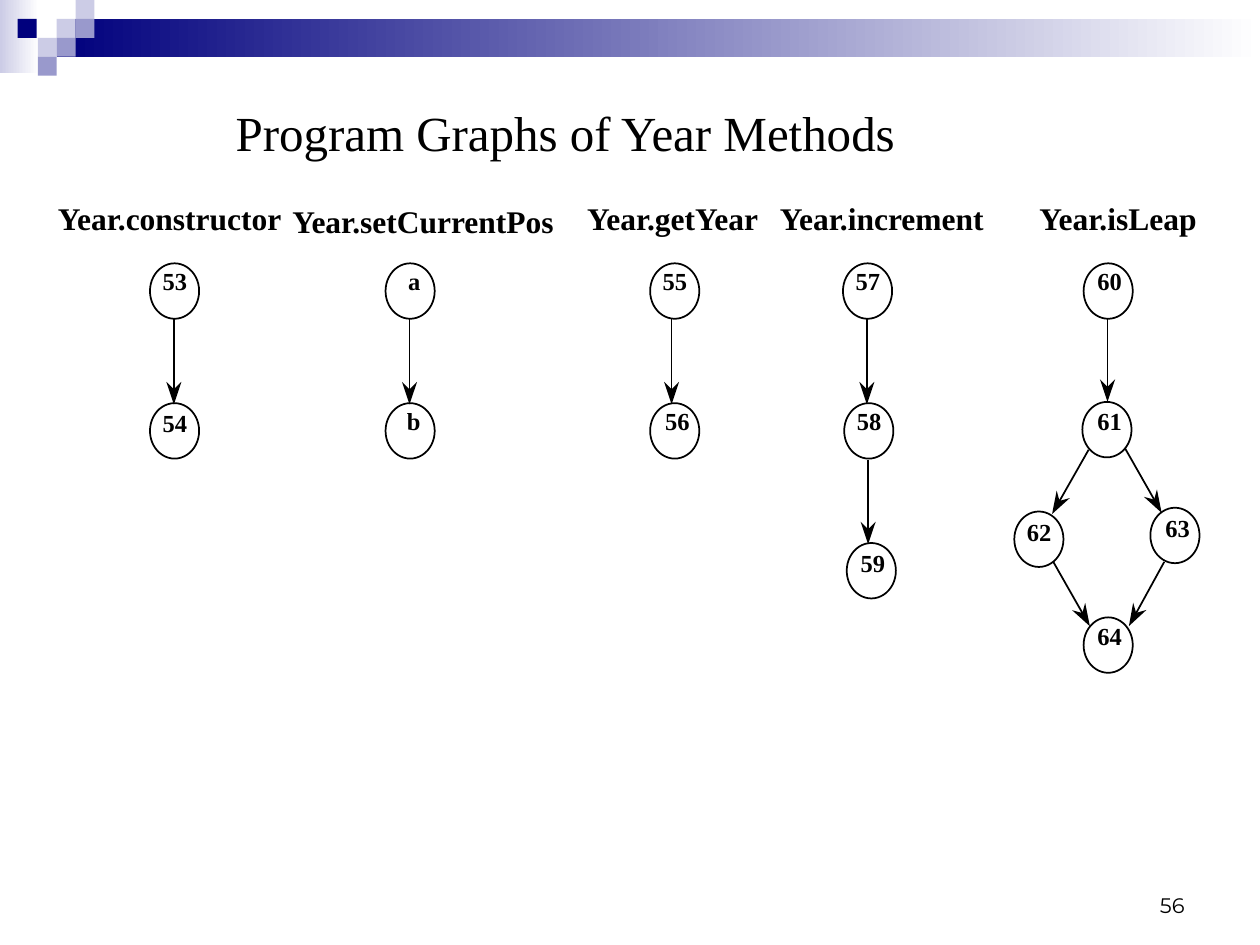
"""Build the slide of program graphs for the Year methods on a grid of 100 by 75 cells."""
import math

import pptx
import pptx.dml.color
import pptx.enum.shapes
import pptx.enum.text
import pptx.oxml
import pptx.util

CELL = 0.1
COLUMNS, ROWS = 100, 75
SERIF, SANS = "Times New Roman", "Montserrat"
COLORS = {"ink": "000000", "navy": "00007D", "violet": "9999CC", "lilac": "CCCCE6", "white": "FFFFFF"}
SHAPES = pptx.enum.shapes.MSO_SHAPE
ALIGN = pptx.enum.text.PP_ALIGN
ANCHOR = pptx.enum.text.MSO_ANCHOR
AUTO_SIZE = pptx.enum.text.MSO_AUTO_SIZE

BARS = [("lilac", 0, 0, 3.1, 5.8), ("navy", 4.5, 1.5, 95.5, 3)]
TILE = 1.5
TILES = [
    ("lilac", 4.5, 1.5), ("lilac", 6, 0), ("violet", 6, 1.5), ("lilac", 3, 3),
    ("navy", 1.4, 1.5), ("violet", 4.5, 3), ("violet", 3, 4.5),
]
HEADINGS = [
    ("Year.constructor", 4.6, 15.8, 18.3), ("Year.setCurrentPos", 23.2, 16, 21.3),
    ("Year.getYear", 46.6, 15.8, 14.4), ("Year.increment", 61.9, 15.8, 16.7),
    ("Year.isLeap", 82.5, 15.8, 13),
]
NODES = [
    ("53", 11.9, 20.9, 1, 0.2), ("54", 11.9, 32, 1, 0.4),
    ("a", 30.6, 20.9, 1.8, 0.2), ("b", 30.6, 32, 1.7, 0.2),
    ("55", 51.6, 20.9, 1, 0.2), ("56", 51.6, 32, 1.2, 0.2),
    ("57", 66.9, 20.9, 1, 0.2), ("58", 67, 32, 1, 0.2), ("59", 67.2, 43.1, 1.1, 0.4),
    ("60", 86, 20.9, 1.1, 0.2), ("61", 85.9, 31.9, 1.2, 0.3),
    ("62", 80.5, 40.6, 1, 0.4), ("63", 91.3, 40.3, 1.2, 0.4), ("64", 86, 49, 1.1, 0.3),
]
ARROWS = [
    (13.8, 25.3, 13.8, 32.1), (32.5, 25.3, 32.5, 32.1), (53.3, 25.3, 53.3, 32.1),
    (68.8, 25.3, 68.8, 32.1), (68.9, 36.5, 68.9, 43.2), (87.9, 25.3, 87.9, 31.9),
    (86.4, 35.7, 83.5, 40.8), (89.3, 35.6, 92.2, 40.7),
    (92.4, 44.6, 89.6, 49.7), (83.6, 44.6, 86.5, 49.7),
]


def grid(*cells):
    return [pptx.util.Inches(cell * CELL) for cell in cells]


def color(name):
    return pptx.dml.color.RGBColor.from_string(COLORS[name])


def add_block(page, fill, column, row, width, height, fades=False):
    block = page.shapes.add_shape(SHAPES.RECTANGLE, *grid(column, row, width, height))
    block.shadow.inherit = False
    block.line.fill.background()
    if fades:
        block.fill.gradient()
        block.fill.gradient_angle = 0
        for stop, name in zip(block.fill.gradient_stops, (fill, "white")):
            stop.color.rgb = color(name)
    else:
        block.fill.solid()
        block.fill.fore_color.rgb = color(fill)


def write(frame, text, size, font=SERIF, bold=False, align=ALIGN.LEFT):
    para = frame.paragraphs[0]
    para.alignment = align
    span = para.add_run()
    span.text = text
    span.font.name = font
    span.font.size = pptx.util.Pt(size)
    span.font.bold = bold
    span.font.color.rgb = color("ink")


def clear_margins(frame):
    frame.margin_left = frame.margin_top = frame.margin_right = frame.margin_bottom = 0


def add_title(page, text):
    title = page.shapes.title
    title.left, title.top, title.width, title.height = grid(18.7, 8.1, 61.7, 4.7)
    frame = title.text_frame
    clear_margins(frame)
    frame.word_wrap = True
    frame.auto_size = AUTO_SIZE.NONE
    frame.vertical_anchor = ANCHOR.TOP
    write(frame, text, 28)


def add_label(page, text, size, column, row, width, height):
    box = page.shapes.add_textbox(*grid(column, row, width, height))
    frame = box.text_frame
    clear_margins(frame)
    frame.word_wrap = False
    frame.auto_size = AUTO_SIZE.SHAPE_TO_FIT_TEXT
    write(frame, text, size, bold=True)


def add_node(page, text, column, row, indent, drop):
    add_label(page, text, 14, column + indent, row + drop, len(text), 2.3)
    node = page.shapes.add_shape(SHAPES.OVAL, *grid(column, row, 3.9, 4.4))
    node.shadow.inherit = False
    node.fill.background()
    node.line.color.rgb = color("ink")
    node.line.width = pptx.util.Pt(1)


def add_arrow(page, start_column, start_row, tip_column, tip_row):
    angle = math.atan2(tip_row - start_row, tip_column - start_column)
    along, across = math.cos(angle), math.sin(angle)

    def behind_tip(back, side):
        return grid(tip_column - back * along - side * across, tip_row - back * across + side * along)

    notch = behind_tip(1.2, 0)
    line = page.shapes.add_connector(
        pptx.enum.shapes.MSO_CONNECTOR.STRAIGHT, *grid(start_column, start_row), *notch)
    line.line.color.rgb = color("ink")
    line.line.width = pptx.util.Pt(1)
    properties = line._element.spPr
    properties.append(properties.makeelement(pptx.oxml.ns.qn("a:effectLst"), {}))

    outline = page.shapes.build_freeform(*grid(tip_column, tip_row), scale=1.0)
    outline.add_line_segments([behind_tip(1.8, 0.6), notch, behind_tip(1.8, -0.6)], close=True)
    head = outline.convert_to_shape()
    head.shadow.inherit = False
    head.fill.solid()
    head.fill.fore_color.rgb = color("ink")
    head.line.fill.background()


def add_page_number(page, text):
    box = page.shapes.add_textbox(*grid(71.7, 68.3, 23.3, 5))
    box.text_frame.word_wrap = True
    box.text_frame.vertical_anchor = ANCHOR.BOTTOM
    write(box.text_frame, text, 12, font=SANS, align=ALIGN.RIGHT)


def main():
    deck = pptx.Presentation()
    deck.slide_width, deck.slide_height = grid(COLUMNS, ROWS)
    page = deck.slides.add_slide(deck.slide_layouts[5])
    for bar in BARS:
        add_block(page, *bar, fades=True)
    for tile in TILES:
        add_block(page, *tile, TILE, TILE)
    add_page_number(page, "56")
    add_title(page, "Program Graphs of Year Methods")
    for text, column, row, width in HEADINGS:
        add_label(page, text, 18, column, row, width, 3)
    for node in NODES:
        add_node(page, *node)
    for arrow in ARROWS:
        add_arrow(page, *arrow)
    deck.save("out.pptx")


if __name__ == "__main__":
    main()
